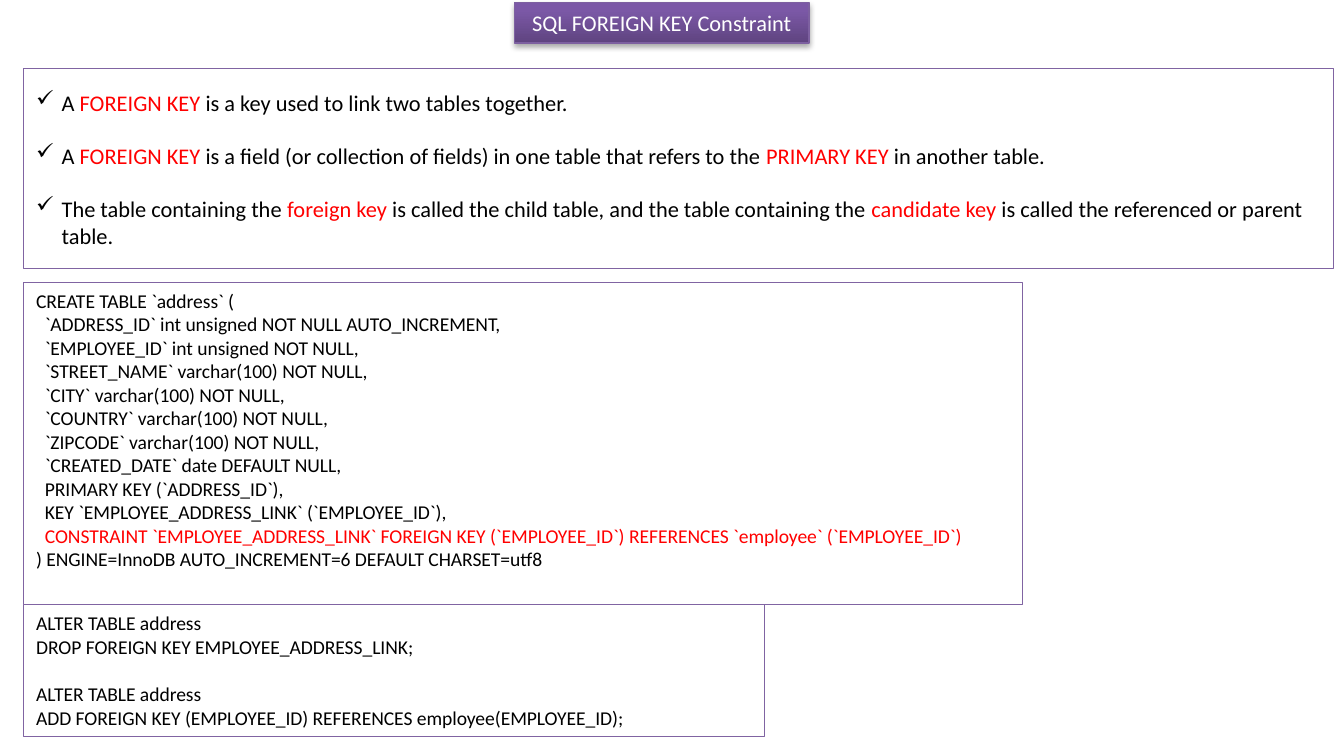
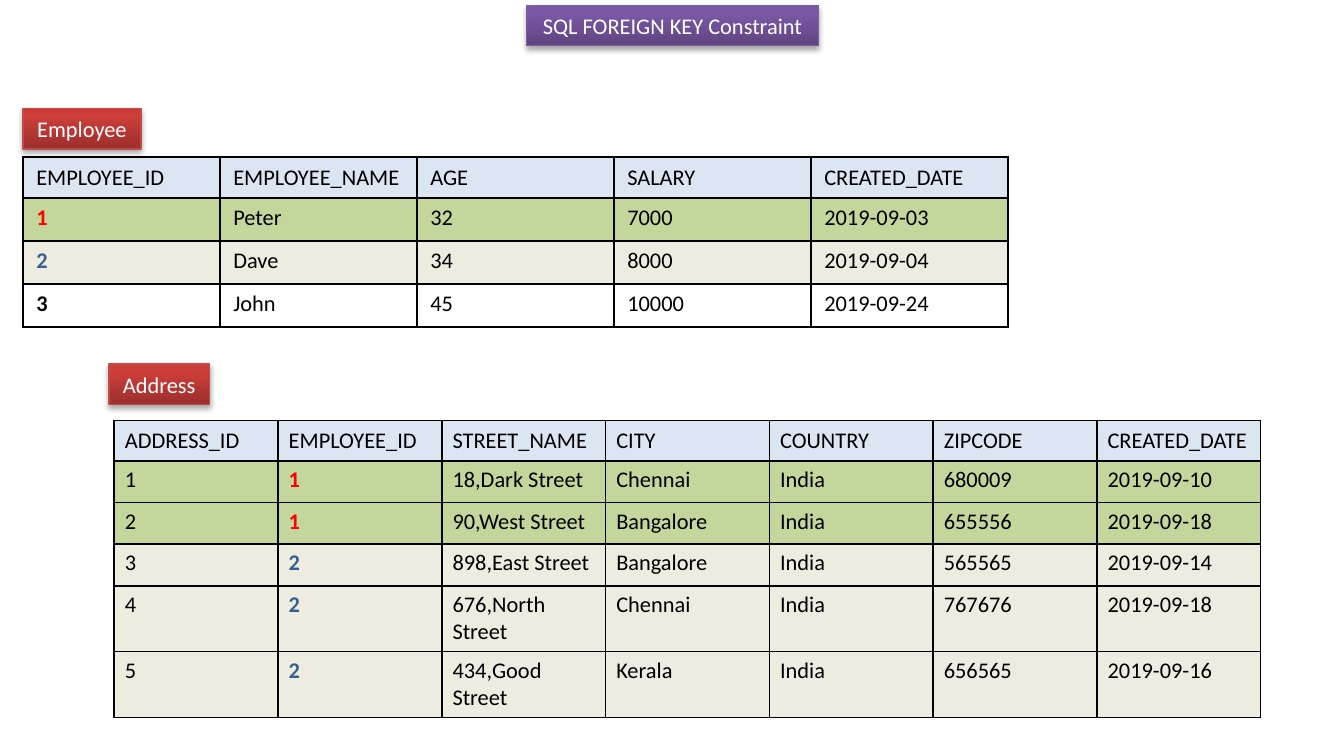
"""Build two slides that explain the SQL foreign key constraint."""
from dataclasses import dataclass
from typing import NamedTuple

from lxml.etree import SubElement as Sub
from pptx import Presentation
from pptx.dml.color import RGBColor as Rgb
from pptx.enum.shapes import MSO_SHAPE as Kind
from pptx.enum.text import MSO_ANCHOR as Anchor, PP_ALIGN as Align
from pptx.oxml.ns import qn
from pptx.util import Emu, Pt

SCALE = 9144


@dataclass(frozen=True)
class Theme:
    font: str = "Calibri"
    body: float = 12
    code: float = 10.5
    ink: str = "000000"
    white: str = "FFFFFF"
    red: str = "FF0000"
    blue: str = "376092"
    frame: str = "8064A2"
    head: str = "DCE6F2"
    green: str = "C3D69B"
    cream: str = "EEECE1"


class Box(NamedTuple):
    left: int
    top: int
    width: int
    height: int


class Skin(NamedTuple):
    stops: tuple[tuple[int, str], ...]
    line: str


class Tag(NamedTuple):
    text: str
    box: Box
    skin: Skin
    wrap: bool = True


class Panel(NamedTuple):
    box: Box
    lines: list[str]
    size: float
    anchor: Anchor = Anchor.TOP
    gap: float = 0
    mark: str = ""


class Grid(NamedTuple):
    box: Box
    rows: list[str]
    highs: list[int]
    key: int
    pad: tuple[int, int]


THEME = Theme()
PURPLE = Skin(((0, "5F4480"), (80, "7B58A6"), (100, "7C57A8")), "7D60A0")
RED = Skin(((0, "9C2F2D"), (80, "CB3E3A"), (100, "CE3B37")), "BF4C48")
TITLE = "SQL FOREIGN KEY Constraint"
KEYS = {"1": (THEME.red, THEME.green), "2": (THEME.blue, THEME.cream),
        "3": (THEME.ink, THEME.white)}

FACTS = [
    "A |FOREIGN KEY |is a key used to link two tables together.",
    "A |FOREIGN KEY |is a field (or collection of fields) in one table "
    "that refers to the |PRIMARY KEY |in another table.",
    "The table containing the |foreign key |is called the child table, and the "
    "table containing the |candidate key |is called the referenced or parent table.",
]
ALTER = [
    "ALTER TABLE address",
    "DROP FOREIGN KEY EMPLOYEE_ADDRESS_LINK;",
    "",
    "ALTER TABLE address",
    "ADD FOREIGN KEY (EMPLOYEE_ID) REFERENCES employee(EMPLOYEE_ID);",
]
CREATE = [
    "CREATE TABLE `address` (",
    "  `ADDRESS_ID` int unsigned NOT NULL AUTO_INCREMENT,",
    "  `EMPLOYEE_ID` int unsigned NOT NULL,",
    "  `STREET_NAME` varchar(100) NOT NULL,",
    "  `CITY` varchar(100) NOT NULL,",
    "  `COUNTRY` varchar(100) NOT NULL,",
    "  `ZIPCODE` varchar(100) NOT NULL,",
    "  `CREATED_DATE` date DEFAULT NULL,",
    "  PRIMARY KEY (`ADDRESS_ID`),",
    "  KEY `EMPLOYEE_ADDRESS_LINK` (`EMPLOYEE_ID`),",
    "  |CONSTRAINT `EMPLOYEE_ADDRESS_LINK` FOREIGN KEY (`EMPLOYEE_ID`) "
    "REFERENCES `employee` (`EMPLOYEE_ID`)",
    ") ENGINE=InnoDB AUTO_INCREMENT=6 DEFAULT CHARSET=utf8",
]
STAFF = [
    "EMPLOYEE_ID|EMPLOYEE_NAME|AGE|SALARY|CREATED_DATE",
    "1|Peter|32|7000|2019-09-03",
    "2|Dave|34|8000|2019-09-04",
    "3|John|45|10000|2019-09-24",
]
HOMES = [
    "ADDRESS_ID|EMPLOYEE_ID|STREET_NAME|CITY|COUNTRY|ZIPCODE|CREATED_DATE",
    "1|1|18,Dark Street|Chennai|India|680009|2019-09-10",
    "2|1|90,West Street|Bangalore|India|655556|2019-09-18",
    "3|2|898,East Street|Bangalore|India|565565|2019-09-14",
    "4|2|676,North Street|Chennai|India|767676|2019-09-18",
    "5|2|434,Good Street|Kerala|India|656565|2019-09-16",
]

PARTS = [
    [
        Tag(TITLE, Box(383, 2, 219, 30), PURPLE),
        Panel(Box(17, 51, 975, 149), FACTS, THEME.body, Anchor.MIDDLE, 14, "✓"),
        Panel(Box(17, 450, 552, 98), ALTER, THEME.code),
        Panel(Box(17, 210, 744, 240), CREATE, THEME.code),
    ],
    [
        Grid(Box(17, 117, 733, 126), STAFF, [30, 32, 32, 32], 0, (10, 5)),
        Grid(Box(85, 313, 853, 221), HOMES, [30, 31, 31, 31, 49, 49], 1, (8, 4)),
        Tag("Employee", Box(17, 81, 88, 30), RED, False),
        Tag("Address", Box(81, 271, 75, 30), RED, False),
        Tag(TITLE, Box(392, 4, 217, 30), PURPLE),
    ],
]


def px(num: float) -> Emu:
    """Turn px into EMU."""
    return Emu(round(num * SCALE))


def put(frame, lines: list[str], *, size: float = THEME.body, color: str = THEME.ink,
        bold: bool = False, align=Align.LEFT, gap: float = 0, mark: str = "") -> None:
    """Write lines as paragraphs; every second part between bars is red."""
    space = 0
    first = True
    for line in lines:
        if not line:
            space = size * 1.22
            continue
        para = frame.paragraphs[0] if first else frame.add_paragraph()
        para.alignment = align
        para.space_before = Pt(0 if first else space or gap)
        if mark:
            props = para._p.get_or_add_pPr()
            props.set("marL", str(px(19)))
            props.set("indent", str(-px(19)))
            Sub(props, qn("a:buChar")).set("char", mark)
        for spot, part in enumerate(line.split("|")):
            run = para.add_run()
            run.text = part
            font = run.font
            font.name, font.size, font.bold = THEME.font, Pt(size), bold
            font.color.rgb = Rgb.from_string(THEME.red if spot % 2 else color)
        first, space = False, 0


def paint(node, color: str):
    """Add an RGB colour element to an XML node."""
    tint = Sub(node, qn("a:srgbClr"))
    tint.set("val", color)
    return tint


def block(slide, box: Box, line: str, width: float):
    """Add a plain outlined rectangle without a shadow."""
    shape = slide.shapes.add_shape(Kind.RECTANGLE, *map(px, box))
    shape.shadow.inherit = False
    shape.line.color.rgb = Rgb.from_string(line)
    shape.line.width = Pt(width)
    shape.text_frame.word_wrap = True
    return shape


def draw_tag(slide, tag: Tag) -> None:
    """Draw a shaded label with a soft shadow."""
    shape = block(slide, tag.box, tag.skin.line, 0.75)
    shape.fill.gradient()
    shape.fill.gradient_angle = 90
    props = shape._element.spPr
    stops = props.find(f".//{qn('a:gsLst')}")
    for old in list(stops):
        stops.remove(old)
    for pos, color in tag.skin.stops:
        stop = Sub(stops, qn("a:gs"))
        stop.set("pos", str(pos * 1000))
        paint(stop, color)
    shade = Sub(props.find(qn("a:effectLst")), qn("a:outerShdw"))
    for name, value in (("blurRad", Pt(3.1)), ("dist", Pt(1.8)),
                        ("dir", 5400000), ("rotWithShape", 0)):
        shade.set(name, str(value))
    Sub(paint(shade, THEME.ink), qn("a:alpha")).set("val", "35000")
    frame = shape.text_frame
    frame.word_wrap = tag.wrap
    frame.vertical_anchor = Anchor.TOP
    put(frame, [tag.text], color=THEME.white, align=Align.CENTER)


def draw_panel(slide, panel: Panel) -> None:
    """Draw a white framed box of text."""
    shape = block(slide, panel.box, THEME.frame, 0.25)
    shape.fill.solid()
    shape.fill.fore_color.rgb = Rgb.from_string(THEME.white)
    shape.text_frame.vertical_anchor = panel.anchor
    put(shape.text_frame, panel.lines, size=panel.size, gap=panel.gap, mark=panel.mark)


def edge(cell) -> None:
    """Give a cell black borders on all sides."""
    props = cell._tc.get_or_add_tcPr()
    for side in "LRTB":
        line = Sub(props, qn(f"a:ln{side}"))
        line.set("w", str(Pt(1)))
        paint(Sub(line, qn("a:solidFill")), THEME.ink)


def draw_grid(slide, grid: Grid) -> None:
    """Draw a table whose rows take their colour from the employee key."""
    rows = [row.split("|") for row in grid.rows]
    count = len(rows[0])
    table = slide.shapes.add_table(len(rows), count, *map(px, grid.box)).table
    for col in table.columns:
        col.width = px(grid.box.width / count)
    for i, (row, high) in enumerate(zip(rows, grid.highs)):
        table.rows[i].height = px(high)
        tint, fill = KEYS.get(row[grid.key], (THEME.ink, THEME.head))
        for j, text in enumerate(row):
            cell = table.cell(i, j)
            edge(cell)
            cell.fill.solid()
            cell.fill.fore_color.rgb = Rgb.from_string(fill)
            cell.margin_left = cell.margin_right = px(grid.pad[0])
            cell.margin_top = cell.margin_bottom = px(grid.pad[1])
            cell.vertical_anchor = Anchor.TOP if i else Anchor.MIDDLE
            is_key = i > 0 and j == grid.key
            put(cell.text_frame, [text], bold=is_key, color=tint if is_key else THEME.ink)


DRAW = {Tag: draw_tag, Panel: draw_panel, Grid: draw_grid}


def main() -> None:
    """Build the slides and save them."""
    deck = Presentation()
    deck.slide_width, deck.slide_height = px(1000), px(550)
    for parts in PARTS:
        slide = deck.slides.add_slide(deck.slide_layouts[6])
        for part in parts:
            DRAW[type(part)](slide, part)
    deck.save("out.pptx")


if __name__ == "__main__":
    main()
